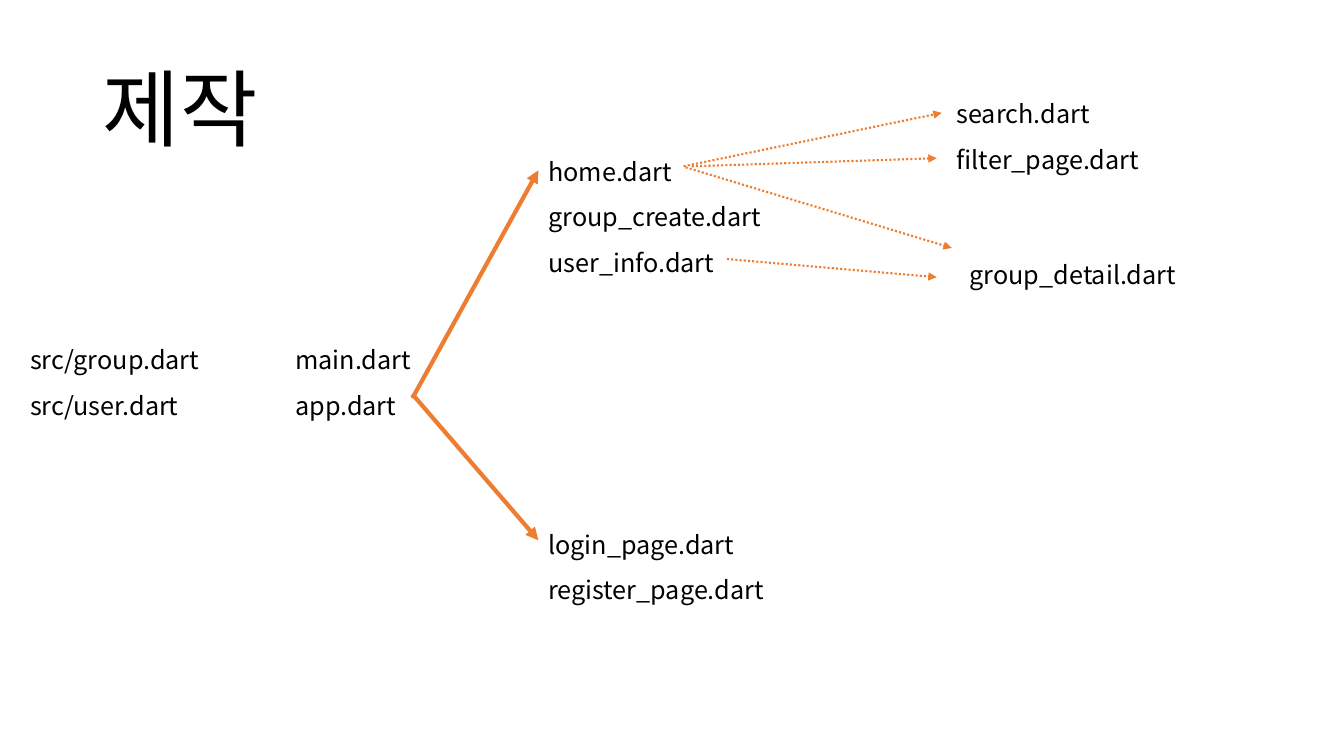
from dataclasses import dataclass

from lxml import etree
from pptx import Presentation
from pptx.dml.color import RGBColor
from pptx.enum import dml, shapes, text
from pptx.oxml import ns
from pptx.slide import Slide
from pptx.text.text import TextFrame
from pptx.util import Inches, Pt


# Theme
@dataclass(frozen=True)
class Theme:
    font: str = "Noto Sans CJK KR"
    ink: RGBColor = RGBColor(0x00, 0x00, 0x00)
    accent: RGBColor = RGBColor(0xED, 0x7D, 0x31)
    title: int = 60
    body: int = 18
    thick: float = 3
    thin: float = 1.5


THEME = Theme()


@dataclass(frozen=True)
class Group:
    left: float
    top: float
    width: float
    files: tuple[str, ...]


@dataclass(frozen=True)
class Arrow:
    start: tuple[float, float]
    end: tuple[float, float]
    dotted: bool = False


# Content
GROUPS = (
    Group(0.2, 3.22, 2.27, ("src/group.dart", "src/user.dart")),
    Group(5.34, 1.35, 3.5, ("home.dart", "group_create.dart", "user_info.dart")),
    Group(5.34, 5.05, 3.5, ("login_page.dart", "register_page.dart")),
    Group(9.52, 2.37, 3.5, ("group_detail.dart",)),
    Group(9.39, 0.78, 3.5, ("search.dart", "filter_page.dart")),
    Group(2.83, 3.22, 2.27, ("main.dart", "app.dart")),
)
ARROWS = (
    Arrow((4.09, 3.95), (5.34, 1.69)),
    Arrow((4.09, 3.91), (5.34, 5.36)),
    Arrow((6.78, 1.65), (9.34, 1.12), dotted=True),
    Arrow((7.21, 2.57), (9.29, 2.75), dotted=True),
    Arrow((6.8, 1.66), (9.44, 2.46), dotted=True),
    Arrow((6.86, 1.65), (9.29, 1.57), dotted=True),
)


def write(frame: TextFrame, *lines: str, size: int, spacing: float,
          anchor: text.MSO_ANCHOR = text.MSO_ANCHOR.TOP) -> None:
    """Fill a frame with one left-aligned paragraph per line."""
    frame.word_wrap = True
    frame.vertical_anchor = anchor
    for i, line in enumerate(lines):
        para = frame.add_paragraph() if i else frame.paragraphs[0]
        para.alignment = text.PP_ALIGN.LEFT
        para.line_spacing = spacing
        run = para.add_run()
        run.text = line
        run.font.size = Pt(size)
        run.font.color.rgb = THEME.ink
        run.font.name = THEME.font
        # East Asian typeface
        latin = run.font._element.find(ns.qn("a:latin"))
        asian = etree.Element(ns.qn("a:ea"), typeface=THEME.font)
        latin.addnext(asian)


def draw_group(slide: Slide, group: Group) -> None:
    height = 0.05 + 0.45 * len(group.files)
    box = slide.shapes.add_textbox(Inches(group.left), Inches(group.top),
                                   Inches(group.width), Inches(height))
    write(box.text_frame, *group.files, size=THEME.body, spacing=1.5)


def draw_arrow(slide: Slide, arrow: Arrow) -> None:
    ends = (Inches(n) for n in arrow.start + arrow.end)
    link = slide.shapes.add_connector(shapes.MSO_CONNECTOR.STRAIGHT, *ends)
    link.line.color.rgb = THEME.accent
    link.line.width = Pt(THEME.thin if arrow.dotted else THEME.thick)
    if arrow.dotted:
        link.line.dash_style = dml.MSO_LINE.ROUND_DOT
    # Arrowhead, and no shadow
    props = link._element.spPr
    etree.SubElement(props.find(ns.qn("a:ln")), ns.qn("a:tailEnd"), type="triangle")
    etree.SubElement(props, ns.qn("a:effectLst"))


def main() -> None:
    deck = Presentation()
    deck.slide_width, deck.slide_height = Inches(13.33), Inches(7.5)
    slide = deck.slides.add_slide(deck.slide_layouts[5])

    # Title
    title = slide.shapes.title
    title.left, title.top = Inches(0.92), Inches(0.4)
    title.width, title.height = Inches(11.5), Inches(1.45)
    write(title.text_frame, "제작", size=THEME.title, spacing=0.9,
          anchor=text.MSO_ANCHOR.MIDDLE)

    # File groups and the links between them
    for group in GROUPS:
        draw_group(slide, group)
    for arrow in ARROWS:
        draw_arrow(slide, arrow)

    deck.save("out.pptx")


if __name__ == "__main__":
    main()
